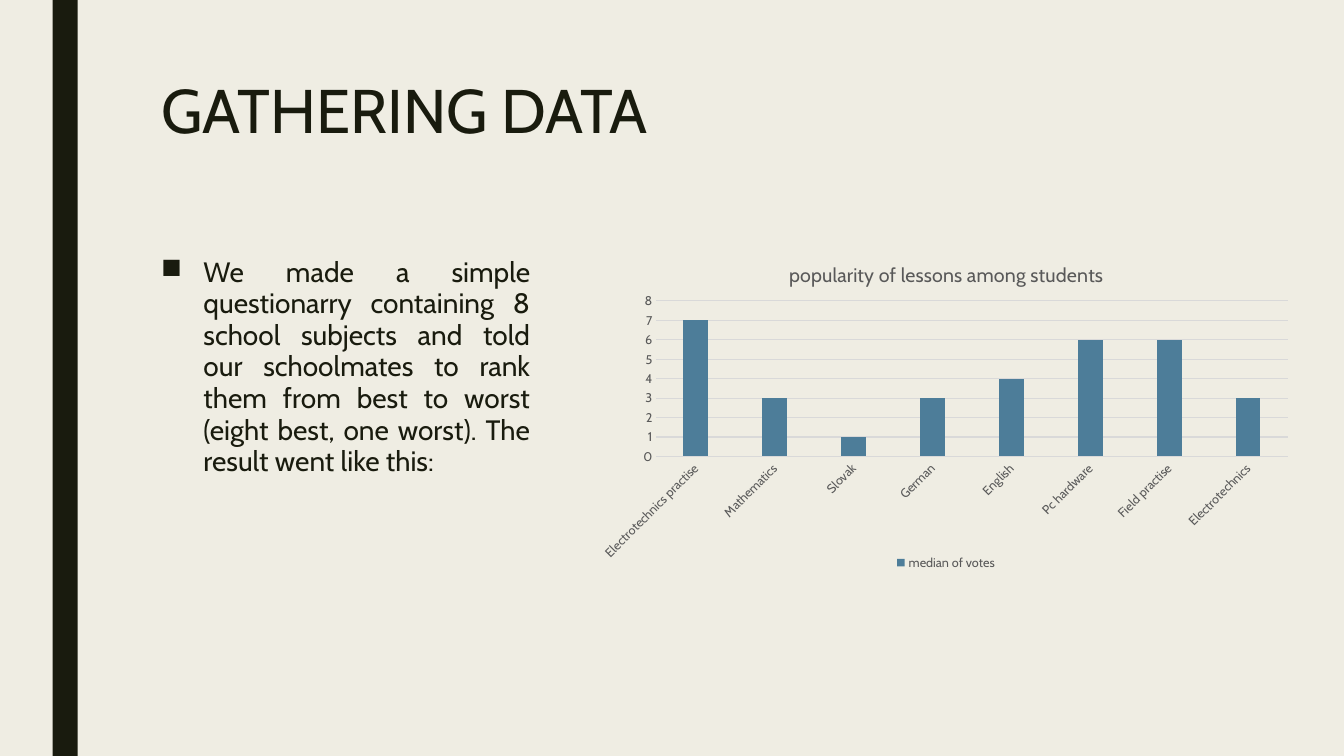
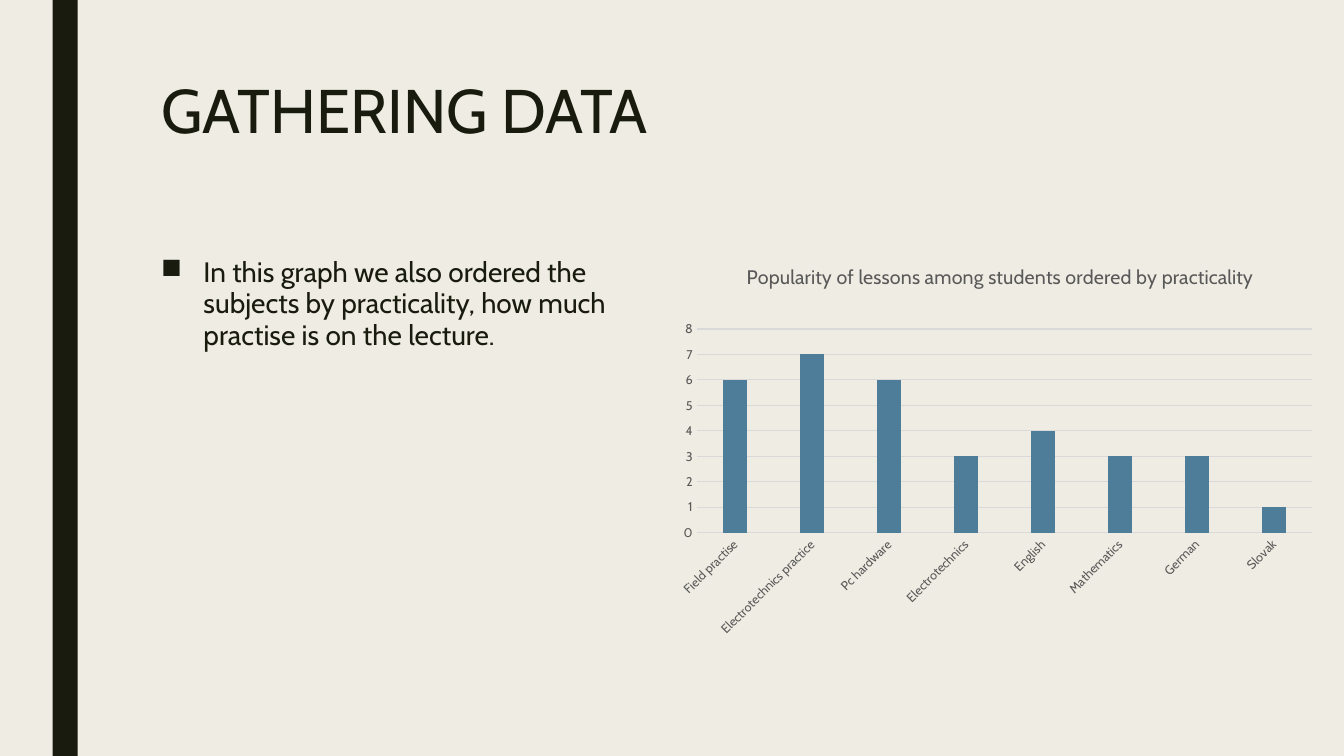
import pptx
import pptx.util
import pptx.chart.data
import pptx.dml.color
import pptx.enum.chart
import pptx.enum.shapes
import pptx.enum.text
import pptx.oxml
import pptx.oxml.ns

COLORS = {
    "paper": "EFEDE3",
    "ink": "191B0E",
    "bar": "4D7D99",
    "label": "595959",
    "rule": "D9D9D9",
}
FONT = "Cabin"
COLS, ROWS = 160, 90
CHART_NS = pptx.oxml.ns.nsdecls("c")


def rgb(name):
    return pptx.dml.color.RGBColor.from_string(COLORS[name])


def style_font(font, size, color):
    font.name = FONT
    font.size = pptx.util.Pt(size)
    font.bold = False
    font.color.rgb = rgb(color)


def set_layout(element, index, x, y, w=None, h=None):
    """Place a chart part by shares of the chart's size."""
    target = '<c:layoutTarget val="inner"/>' if w else ""
    modes = '<c:xMode val="edge"/><c:yMode val="edge"/>'
    values = "".join(f'<c:{tag} val="{v}"/>'
                     for tag, v in zip("xywh", (x, y, w, h)) if v is not None)
    for old in element.findall(pptx.oxml.ns.qn("c:layout")):
        element.remove(old)
    element.insert(index, pptx.oxml.parse_xml(
        f"<c:layout {CHART_NS}><c:manualLayout>{target}{modes}{values}"
        "</c:manualLayout></c:layout>"))


class Deck:
    """Holds the shared style and the current slide; boxes are in grid cells."""

    def __init__(self):
        self.prs = pptx.Presentation()
        self.prs.slide_width = pptx.util.Inches(13.33)
        self.prs.slide_height = pptx.util.Inches(7.5)
        fill = self.prs.slide_master.background.fill
        fill.solid()
        fill.fore_color.rgb = rgb("paper")
        self.s = None

    def box(self, col, row, cols, rows):
        w, h = self.prs.slide_width, self.prs.slide_height
        return (int(w * col / COLS), int(h * row / ROWS),
                int(w * cols / COLS), int(h * rows / ROWS))

    def new_slide(self, title):
        self.s = self.prs.slides.add_slide(self.prs.slide_layouts[5])
        self.band()
        self.title(title)

    def band(self):
        sp = self.s.shapes.add_shape(
            pptx.enum.shapes.MSO_SHAPE.RECTANGLE, *self.box(6.25, 0, 3, ROWS))
        sp.shadow.inherit = False
        sp.fill.solid()
        sp.fill.fore_color.rgb = rgb("ink")
        sp.line.fill.background()

    def add_text(self, tf, text, size, spacing):
        """Fill the frame with one top-anchored paragraph and return it."""
        tf.word_wrap = True
        tf.auto_size = pptx.enum.text.MSO_AUTO_SIZE.NONE
        tf.vertical_anchor = pptx.enum.text.MSO_ANCHOR.TOP
        p = tf.paragraphs[0]
        p.alignment = pptx.enum.text.PP_ALIGN.LEFT
        p.line_spacing = spacing
        r = p.add_run()
        r.text = text
        style_font(r.font, size, "ink")
        return p

    def title(self, text):
        sp = self.s.shapes.title
        sp.left, sp.top, sp.width, sp.height = self.box(18, 9, 126, 19.5)
        self.add_text(sp.text_frame, text, 44, 0.89)

    def bullet(self, text, cols, justify=False):
        sp = self.s.shapes.add_textbox(*self.box(18, 30, cols, 47))
        p = self.add_text(sp.text_frame, text, 20, 0.94)
        if justify:
            p.alignment = pptx.enum.text.PP_ALIGN.JUSTIFY
        p.space_before = pptx.util.Pt(10)
        p.space_after = pptx.util.Pt(2)
        indent = pptx.util.Inches(0.42)
        pPr = p._p.get_or_add_pPr()
        pPr.set("marL", str(indent))
        pPr.set("indent", str(-indent))
        pPr.append(pptx.oxml.parse_xml(
            f'<a:buChar {pptx.oxml.ns.nsdecls("a")} char="■"/>'))

    def column_chart(self, box, title, title_at, plot, series, votes, legend_at=None):
        data = pptx.chart.data.CategoryChartData()
        data.categories = [subject for subject, _ in votes]
        data.add_series(series, [vote for _, vote in votes])
        chart = self.s.shapes.add_chart(
            pptx.enum.chart.XL_CHART_TYPE.COLUMN_CLUSTERED,
            *self.box(*box), data).chart
        style_font(chart.font, 10, "label")

        chart.has_title = True
        r = chart.chart_title.text_frame.paragraphs[0].add_run()
        r.text = title
        style_font(r.font, 14, "label")
        chart.chart_title.include_in_layout = False
        set_layout(chart.chart_title._element, 1, *title_at)

        bars = chart.plots[0]
        bars.gap_width, bars.overlap = 219, -27
        bars.vary_by_categories = False
        bars.series[0].format.fill.solid()
        bars.series[0].format.fill.fore_color.rgb = rgb("bar")
        set_layout(chart._chartSpace.chart.plotArea, 0, *plot)
        self.axes(chart)

        chart.has_legend = legend_at is not None
        if legend_at:
            chart.legend.position = pptx.enum.chart.XL_LEGEND_POSITION.BOTTOM
            chart.legend.include_in_layout = False
            style_font(chart.legend.font, 9, "label")
            set_layout(chart.legend._element, 1, *legend_at)

    def axes(self, chart):
        cat, val = chart.category_axis, chart.value_axis
        for axis in (cat, val):
            axis.major_tick_mark = pptx.enum.chart.XL_TICK_MARK.NONE
            axis.minor_tick_mark = pptx.enum.chart.XL_TICK_MARK.NONE
            style_font(axis.tick_labels.font, 9, "label")
        val.minimum_scale, val.maximum_scale, val.major_unit = 0, 8, 1
        val.has_major_gridlines = True
        val.format.line.fill.background()
        for line in (cat.format.line, val.major_gridlines.format.line):
            line.color.rgb = rgb("rule")
            line.width = pptx.util.Pt(0.75)
        body = cat._element.find(".//" + pptx.oxml.ns.qn("a:bodyPr"))
        body.set("rot", str(-45 * 60000))
        body.set("vert", "horz")


def main():
    deck = Deck()

    deck.new_slide("GATHERING DATA")
    deck.bullet("We made a simple questionarry containing 8 school subjects and "
                "told our schoolmates to rank them from best to worst (eight "
                "best, one worst). The result went like this:", 46.3, justify=True)
    deck.column_chart(
        (69.6, 28.5, 85.4, 43.1), "popularity of lessons among students",
        (0.28, 0.05), (0.1, 0.17, 0.88, 0.43), "median of votes",
        [("Electrotechnics practise", 7), ("Mathematics", 3), ("Slovak", 1),
         ("German", 3), ("English", 4), ("Pc hardware", 6),
         ("Field practise", 6), ("Electrotechnics", 3)],
        legend_at=(0.43, 0.86))

    deck.new_slide("GATHERING DATA")
    deck.bullet("In this graph we also ordered the subjects by practicality, "
                "how much practise is on the lecture.", 62)
    deck.column_chart(
        (79, 28.5, 78.8, 48.5),
        "Popularity of lessons among students ordered by practicality",
        (0.12, 0.05), (0.05, 0.22, 0.93, 0.5), "Series 1",
        [("Field practise", 6), ("Electrotechnics practice", 7),
         ("Pc hardware", 6), ("Electrotechnics", 3), ("English", 4),
         ("Mathematics", 3), ("German", 3), ("Slovak", 1)])

    deck.prs.save("out.pptx")


if __name__ == "__main__":
    main()
